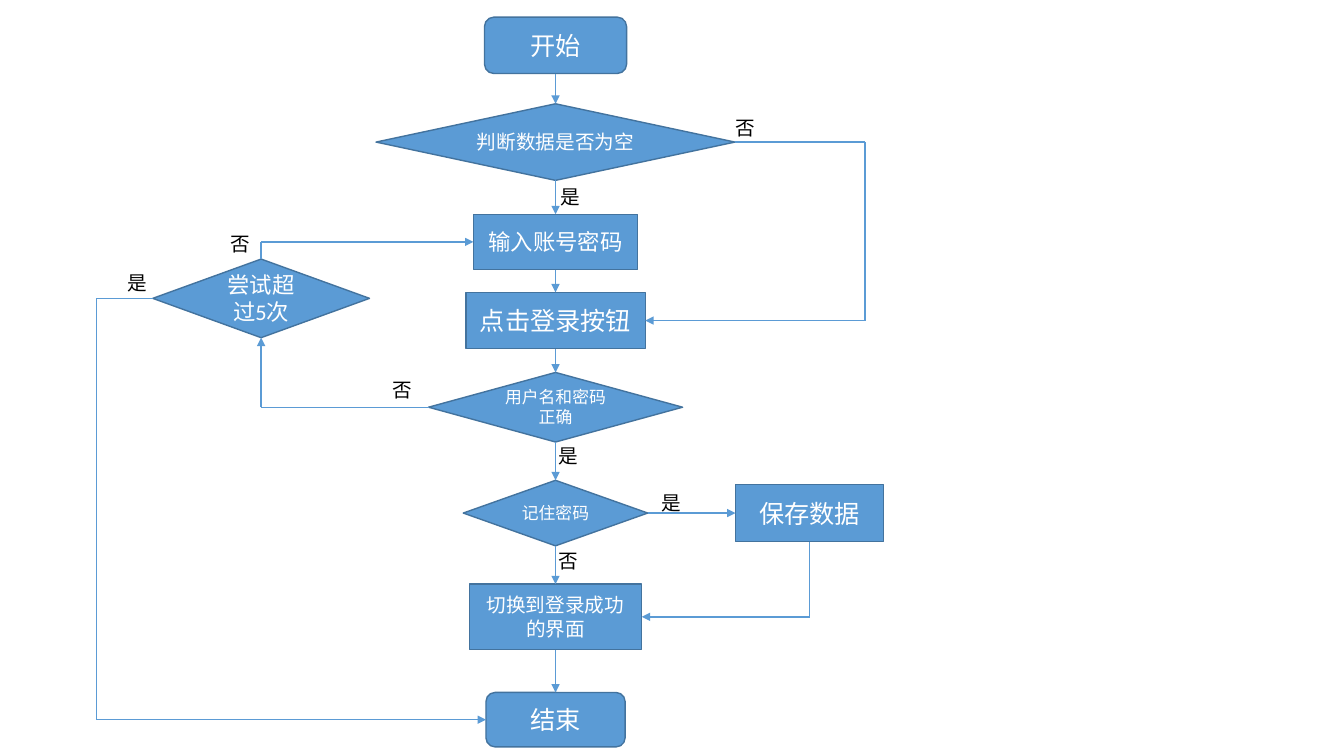
import dataclasses
import itertools
import typing

import pptx
import pptx.dml.color
import pptx.enum.shapes
import pptx.enum.text
import pptx.oxml
import pptx.oxml.ns
import pptx.util

HUES = {"fill": "5B9BD5", "edge": "43739E", "light": "FFFFFF", "dark": "000000"}
FONT = "Calibri"
WIDE, TALL = pptx.util.Inches(13.33), pptx.util.Inches(7.5)
COLS, ROWS = 133.3, 75
SPINE = 55.1
TOP, LEFT, LOW, RIGHT = range(4)

KINDS = pptx.enum.shapes.MSO_SHAPE
ROUND, RECT, TEST = KINDS.ROUNDED_RECTANGLE, KINDS.RECTANGLE, KINDS.DIAMOND


@dataclasses.dataclass
class Node:
    kind: KINDS
    text: str
    mid: float
    row: float
    wide: float
    tall: float
    size: int


@dataclasses.dataclass
class Route:
    start: str
    out: int
    end: str
    into: int
    bends: tuple = ()


@dataclasses.dataclass
class Label:
    text: str
    col: float
    row: float


NODES = {
    "start": Node(ROUND, "开始", SPINE, 4.5, 14.1, 5.6, 18),
    "empty": Node(TEST, "判断数据是否为空", SPINE, 14.1, 35.6, 7.6, 14),
    "enter": Node(RECT, "输入账号密码", SPINE, 24, 16.3, 5.5, 16),
    "click": Node(RECT, "点击登录按钮", SPINE, 31.8, 17.8, 5.6, 18),
    "match": Node(TEST, "用户名和密码正确", SPINE, 40.4, 25.2, 6.9, 12),
    "keep": Node(TEST, "记住密码", SPINE, 50.9, 18.3, 6.5, 12),
    "save": Node(RECT, "保存数据", 80.3, 50.9, 14.7, 5.7, 18),
    "done": Node(RECT, "切换到登录成功的界面", SPINE, 61.2, 17.1, 6.5, 14),
    "tries": Node(TEST, "尝试超过5次", 25.9, 29.6, 21.5, 7.8, 16),
    "end": Node(ROUND, "结束", SPINE, 71.4, 13.8, 5.4, 18),
}

CHAIN = ("start", "empty", "enter", "click", "match", "keep", "done", "end")
ROUTES = [Route(a, LOW, b, TOP) for a, b in itertools.pairwise(CHAIN)] + [
    Route("keep", RIGHT, "save", LEFT),
    Route("match", LEFT, "tries", LOW, ((25.9, 40.4),)),
    Route("save", LOW, "done", RIGHT, ((80.3, 61.2),)),
    Route("tries", TOP, "enter", LEFT, ((25.9, 24),)),
    Route("tries", LEFT, "end", LEFT, ((9.6, 29.6), (9.6, 71.4))),
    Route("empty", RIGHT, "click", RIGHT, ((85.8, 14.1), (85.8, 31.8))),
]

LABELS = [
    Label("是", 54.4, 43.5),
    Label("是", 64.6, 48.2),
    Label("是", 11.7, 26.4),
    Label("否", 37.9, 37),
    Label("否", 21.9, 22.5),
    Label("否", 54.4, 54),
    Label("是", 54.6, 17.9),
    Label("否", 72, 11),
]


def across(cols: float) -> int:
    return round(WIDE * cols / COLS)


def down(rows: float) -> int:
    return round(TALL * rows / ROWS)


def hue(name: str) -> pptx.dml.color.RGBColor:
    return pptx.dml.color.RGBColor.from_string(HUES[name])


def write(frame: typing.Any, text: str, size: int, tone: str) -> None:
    frame.text = text
    font = frame.paragraphs[0].font
    font.name = FONT
    font.size = pptx.util.Pt(size)
    font.color.rgb = hue(tone)


def draw_node(page: typing.Any, node: Node) -> typing.Any:
    shape = page.shapes.add_shape(
        node.kind,
        across(node.mid - node.wide / 2),
        down(node.row - node.tall / 2),
        across(node.wide),
        down(node.tall),
    )
    shape.shadow.inherit = False
    shape.fill.solid()
    shape.fill.fore_color.rgb = hue("fill")
    shape.line.color.rgb = hue("edge")
    shape.line.width = pptx.util.Pt(1)
    frame = shape.text_frame
    frame.word_wrap = True
    frame.vertical_anchor = pptx.enum.text.MSO_ANCHOR.MIDDLE
    write(frame, node.text, node.size, "light")
    frame.paragraphs[0].alignment = pptx.enum.text.PP_ALIGN.CENTER
    return shape


def draw_line(page: typing.Any, first: tuple, last: tuple) -> typing.Any:
    line = page.shapes.add_connector(
        pptx.enum.shapes.MSO_CONNECTOR.STRAIGHT,
        across(first[0]), down(first[1]), across(last[0]), down(last[1]),
    )
    line.line.color.rgb = hue("fill")
    line.line.width = pptx.util.Pt(1)
    props = line.line._get_or_add_ln().getparent()
    props.append(pptx.oxml.parse_xml(f"<a:effectLst {pptx.oxml.ns.nsdecls('a')}/>"))
    return line


def draw_route(page: typing.Any, route: Route, shapes: dict) -> None:
    ends = [(NODES[name].mid, NODES[name].row) for name in (route.start, route.end)]
    points = [ends[0], *route.bends, ends[1]]
    lines = [draw_line(page, a, b) for a, b in itertools.pairwise(points)]
    lines[0].begin_connect(shapes[route.start], route.out)
    lines[-1].end_connect(shapes[route.end], route.into)
    head = f'<a:tailEnd {pptx.oxml.ns.nsdecls("a")} type="triangle"/>'
    lines[-1].line._get_or_add_ln().append(pptx.oxml.parse_xml(head))


def draw_label(page: typing.Any, label: Label) -> None:
    box = page.shapes.add_textbox(
        across(label.col), down(label.row), across(4), down(3.4)
    )
    frame = box.text_frame
    frame.word_wrap = False
    frame.auto_size = pptx.enum.text.MSO_AUTO_SIZE.SHAPE_TO_FIT_TEXT
    write(frame, label.text, 14, "dark")


def main() -> None:
    deck = pptx.Presentation()
    deck.slide_width, deck.slide_height = WIDE, TALL
    page = deck.slides.add_slide(deck.slide_layouts[6])
    shapes = {name: draw_node(page, node) for name, node in NODES.items()}
    for route in ROUTES:
        draw_route(page, route, shapes)
    for label in LABELS:
        draw_label(page, label)
    deck.save("out.pptx")


if __name__ == "__main__":
    main()
